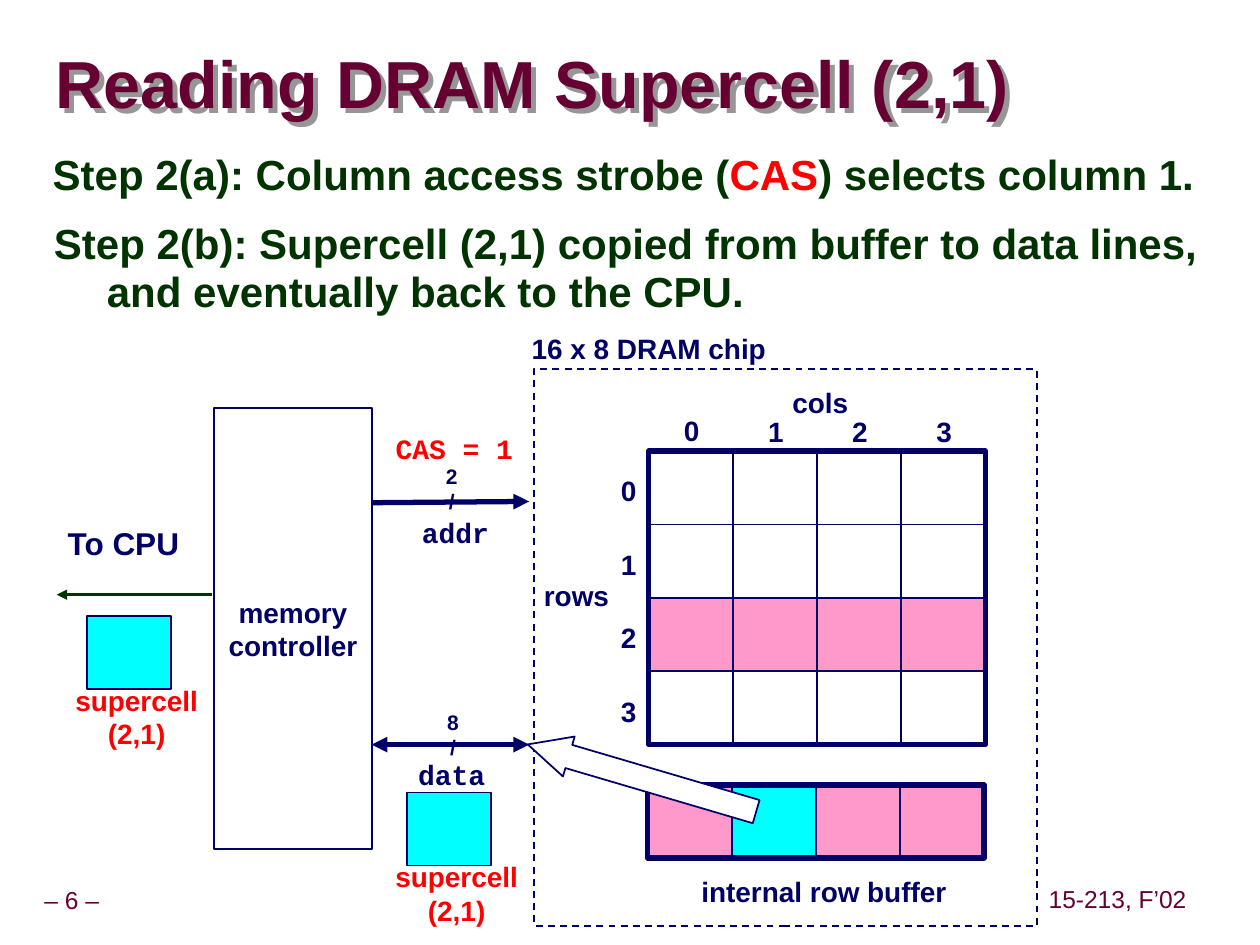
"""Build the slide on reading DRAM supercell (2,1)."""
from lxml import etree
from pptx import Presentation
from pptx.dml.color import RGBColor
from pptx.enum.dml import MSO_LINE
from pptx.enum.shapes import MSO_CONNECTOR, MSO_SHAPE
from pptx.enum.text import MSO_ANCHOR, MSO_AUTO_SIZE, PP_ALIGN
from pptx.oxml import parse_xml
from pptx.oxml.ns import nsdecls, qn
from pptx.util import Inches, Pt

RECT, ARROW = MSO_SHAPE.RECTANGLE, MSO_SHAPE.DOWN_ARROW
LINE, DASH = MSO_CONNECTOR.STRAIGHT, MSO_LINE.DASH
LEFT, MID = PP_ALIGN.LEFT, PP_ALIGN.CENTER
TOP, HALF = MSO_ANCHOR.TOP, MSO_ANCHOR.MIDDLE
GROW, FIXED = MSO_AUTO_SIZE.SHAPE_TO_FIT_TEXT, MSO_AUTO_SIZE.NONE
NAVY, GREEN, PLUM, RED = "000066", "003300", "660033", "FF0000"
WHITE, PINK, CYAN = "FFFFFF", "FF99CC", "00FFFF"
MONO = "Courier New"
CELL_W, CELL_H = 2.67 / 4, 2.33 / 4

deck = Presentation()
deck.slide_width, deck.slide_height = Inches(10), Inches(7.5)
slide = deck.slides.add_slide(deck.slide_layouts[6])
hue = RGBColor.from_string


def write(text, spot=None, host=None, size=16, font="Arial", color=NAVY, bold=True,
          align=MID, anchor=HALF, wrap=False, pad=(0.1, 0.05), space=1.0, hang=0):
    """Write text, or (text, colour) runs, into a new text box or a host shape."""
    fit = FIXED if host or wrap else GROW
    host = host or slide.shapes.add_textbox(*map(Inches, spot))
    frame = host.text_frame
    frame.word_wrap, frame.vertical_anchor, frame.auto_size = wrap, anchor, fit
    frame.margin_left = frame.margin_right = Inches(pad[0])
    frame.margin_top = frame.margin_bottom = Inches(pad[1])
    rows = [[(row, color)] for row in text.split("\n")] if isinstance(text, str) else [text]
    for i, runs in enumerate(rows):
        para = frame.add_paragraph() if i else frame.paragraphs[0]
        para.alignment, para.line_spacing = align, space
        if hang:
            props = para._p.get_or_add_pPr()
            props.set("marL", str(Inches(hang)))
            props.set("indent", str(-Inches(hang)))
        for words, tint in runs:
            run = para.add_run()
            run.text = words
            run.font.name, run.font.size, run.font.bold = font, Pt(size), bold
            run.font.color.rgb = hue(tint)
    return host


def draw(x, y, w, h, fill=None, width=1, kind=RECT):
    """Draw a navy-edged shape, hollow when it has no fill."""
    shape = slide.shapes.add_shape(kind, *map(Inches, (x, y, w, h)))
    shape.shadow.inherit = False
    if fill:
        shape.fill.solid()
        shape.fill.fore_color.rgb = hue(fill)
    else:
        shape.fill.background()
    shape.line.color.rgb, shape.line.width = hue(NAVY), Pt(width)
    return shape


write("– 6 –", (0.07, 7, 1, 0.31), size=14, color=PLUM, bold=False, pad=(0.05, 0.05), space=0.9)
write("15-213, F’02", (8.27, 6.99, 1.2, 0.31), size=14, color=PLUM, bold=False,
      pad=(0.05, 0.05), space=0.9)
title = write("Reading DRAM Supercell (2,1)", (0.44, 0.27, 9.53, 0.85), size=38, color=PLUM,
              align=LEFT, wrap=True, pad=(0, 0), space=0.87)
title._element.spPr.append(parse_xml(
    f'<a:effectLst {nsdecls("a")}><a:outerShdw dist="{Inches(0.06)}" dir="2700000">'
    '<a:srgbClr val="969696"/></a:outerShdw></a:effectLst>'))

steps = [
    ([("Step 2(a): Column access strobe (", GREEN), ("CAS", RED), (") selects column 1.", GREEN)],
     (0.32, 1.16, 9.52, 0.59)),
    ("Step 2(b): Supercell (2,1) copied from buffer to data lines, and eventually back to the CPU.",
     (0.33, 1.71, 9.52, 0.91)),
]
for text, spot in steps:
    write(text, spot, size=24, color=GREEN, align=LEFT, anchor=TOP, wrap=True, space=0.95, hang=0.42)

for row in range(4):
    for col in range(4):
        draw(5.15 + col * CELL_W, 3.58 + row * CELL_H, CELL_W, CELL_H, PINK if row == 2 else WHITE)
draw(5.15, 3.58, 2.67, 2.33, width=3)
for i in range(4):
    write(str(i), (5.33 + i * CELL_W, 3.23 if i == 0 else 3.24, 0.32, 0.37))
    write(str(i), (4.83, 3.71 + i * CELL_H, 0.32, 0.37))

draw(4.24, 2.93, 3.99, 4.42).line.dash_style = DASH
write("memory\ncontroller", host=draw(1.7, 3.24, 1.25, 3.5, WHITE))

for col in (0, 2, 3, 1):
    draw(5.14 + col * CELL_W, 6.23, CELL_W, 0.58, CYAN if col == 1 else PINK)
draw(5.14, 6.23, 2.67, 0.58, width=3)

wires = [
    (2.95, 3.99, 4.2, 3.98, NAVY, 3, ["tailEnd"]),
    (2.95, 5.91, 4.2, 5.91, NAVY, 3, ["headEnd", "tailEnd"]),
    (1.68, 4.72, 0.45, 4.72, GREEN, 1.5, ["tailEnd"]),
]
for x1, y1, x2, y2, color, width, ends in wires:
    wire = slide.shapes.add_connector(LINE, *map(Inches, (x1, y1, x2, y2)))
    wire.line.color.rgb, wire.line.width = hue(color), Pt(width)
    for end in ends:
        etree.SubElement(wire.line._get_or_add_ln(), qn(f"a:{end}"), type="triangle")
    etree.SubElement(wire._element.spPr, qn("a:effectLst"))

labels = [
    ("cols", (6.14, 3.01, 0.74, 0.37), {}),
    ("rows", (4.17, 4.54, 0.81, 0.37), {}),
    ("internal row buffer", (5.42, 6.89, 2.24, 0.37), {}),
    ("16 x 8 DRAM chip", (4.07, 2.58, 2.16, 0.37), {}),
    ("CAS = 1", (3.04, 3.37, 1.13, 0.37), {"font": MONO, "color": RED}),
    ("addr", (3.25, 4.04, 0.73, 0.37), {"font": MONO}),
    ("data", (3.22, 5.96, 0.73, 0.37), {"font": MONO}),
    ("2\n/", (3.44, 3.63, 0.29, 0.5), {"size": 12}),
    ("8\n/", (3.45, 5.58, 0.29, 0.5), {"size": 12}),
    ("To CPU", (0.48, 4.14, 1, 0.37),
     {"size": 18, "anchor": TOP, "pad": (0.05, 0.05), "space": 0.9}),
]
for text, spot, form in labels:
    write(text, spot, **form)

arrow = draw(4.93, 5.23, 0.33, 1.89, WHITE, kind=ARROW)
arrow.rotation = 106.4
arrow.adjustments[0], arrow.adjustments[1] = 0.58, 1.03

for x, y in ((3.23, 6.29), (0.69, 4.89)):
    write("supercell \n(2,1)", (x - 0.22, y + 0.48, 1.23, 0.64), color=RED)
    draw(x, y, 0.67, 0.58, CYAN)

deck.save("out.pptx")
